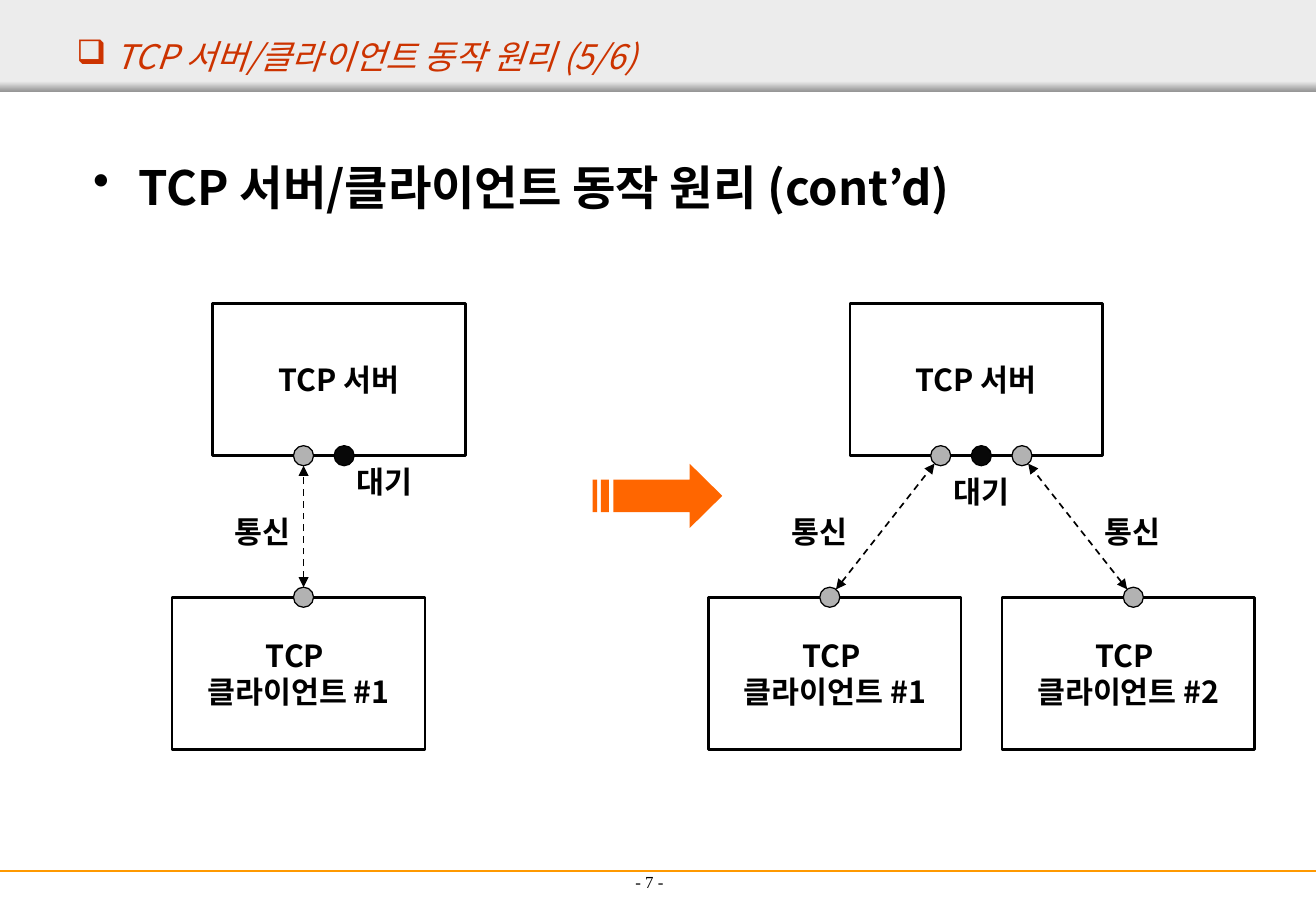
"""Build a slide on how a TCP server takes on a second client."""
from dataclasses import dataclass
from math import hypot

from lxml.etree import SubElement
from pptx import Presentation
from pptx.dml.color import RGBColor
from pptx.enum.dml import MSO_LINE
from pptx.enum.shapes import MSO_CONNECTOR, MSO_SHAPE
from pptx.enum.text import MSO_ANCHOR, PP_ALIGN
from pptx.oxml.ns import qn
from pptx.util import Cm, Pt


@dataclass(frozen=True)
class Theme:
    """Colours, fonts and type sizes."""
    black: str = "000000"
    band: str = "ECECEC"
    band_edge: str = "979797"
    rule: str = "FF9900"
    title: str = "CC3300"
    arrow: str = "FF6600"
    waiting: str = "080808"
    talking: str = "B2B2B2"
    font: str = "Noto Sans CJK KR"
    number_font: str = "Times New Roman"
    title_size: int = 20
    body_size: int = 28
    label_size: int = 18
    number_size: int = 10


T = Theme()
WIDTH, HEIGHT = 27.53, 19.05
TITLE = "TCP 서버/클라이언트 동작 원리 (5/6)"
HEADING = "TCP 서버/클라이언트 동작 원리 (cont’d)"
PAGE = "- 7 -"
SERVER = "TCP 서버"

BOX_W, BOX_H = 5.29, 3.18
SERVER_TOP, CLIENT_TOP = 6.35, 12.49
PORT_SIZE, PORT_START, PORT_GAP = 0.42, 1.9, 0.85
LABEL_W, LABEL_H = 4.65, 0.64

DIAGRAMS = [
    {
        "server": 4.45,
        "ports": [T.talking, T.waiting],
        "clients": [("TCP \n클라이언트 #1", 3.6, 6.35, 0)],
        "labels": [("통신", 4.65, 10.8), ("대기", 7.2, 9.74)],
    },
    {
        "server": 17.78,
        "ports": [T.talking, T.waiting, T.talking],
        "clients": [("TCP \n클라이언트 #1", 14.82, 17.36, 0),
                    ("TCP \n클라이언트 #2", 20.96, 23.71, 2)],
        "labels": [("통신", 16.3, 10.8), ("통신", 22.86, 10.8),
                   ("대기", 19.69, 9.95)],
    },
]

ARROW_LEFT, ARROW_MID = 12.4, 10.37
SHAFT, HEAD, HEAD_START, TIP = 0.34, 0.67, 14.43, 15.11
STRIPES = [(12.4, 12.49), (12.57, 12.74)]
SHAFT_START = 12.83


def rgb(value):
    return RGBColor.from_string(value)


def write(sp, text, size, color=T.black, font=T.font, bold=False, italic=False,
          align=PP_ALIGN.LEFT, anchor=MSO_ANCHOR.MIDDLE):
    tf = sp.text_frame
    tf.text = text
    tf.word_wrap = True
    tf.vertical_anchor = anchor
    for p in tf.paragraphs:
        p.alignment = align
        for r in p.runs:
            r.font.size = Pt(size)
            r.font.bold, r.font.italic = bold, italic
            r.font.color.rgb = rgb(color)
            r.font.name = font
            SubElement(r.font._element, qn("a:ea"), typeface=font)
    return tf


def bullet(p, char, color, indent):
    pPr = p._p.get_or_add_pPr()
    pPr.set("marL", str(Cm(indent)))
    pPr.set("indent", str(-Cm(indent)))
    clr = SubElement(pPr, qn("a:buClr"))
    SubElement(clr, qn("a:srgbClr"), val=color)
    SubElement(pPr, qn("a:buChar"), char=char)


def textbox(shapes, x, y, w, h):
    return shapes.add_textbox(Cm(x), Cm(y), Cm(w), Cm(h))


def shape(shapes, kind, x, y, w, h, fill=None, line=None):
    sp = shapes.add_shape(kind, Cm(x), Cm(y), Cm(w), Cm(h))
    sp.shadow.inherit = False
    if fill:
        sp.fill.solid()
        sp.fill.fore_color.rgb = rgb(fill)
    else:
        sp.fill.background()
    if line:
        sp.line.color.rgb = rgb(T.black)
        sp.line.width = Pt(line)
    else:
        sp.line.fill.background()
    return sp


def connector(shapes, start, end, color, width):
    cx = shapes.add_connector(MSO_CONNECTOR.STRAIGHT,
                              *(Cm(v) for v in (*start, *end)))
    cx.line.color.rgb = rgb(color)
    cx.line.width = Pt(width)
    SubElement(cx._element.spPr, qn("a:effectLst"))
    return cx


def node(shapes, text, x, y):
    sp = shape(shapes, MSO_SHAPE.RECTANGLE, x, y, BOX_W, BOX_H, line=1.5)
    write(sp, text, T.label_size, bold=True, align=PP_ALIGN.CENTER)


def port(shapes, x, y, color):
    radius = PORT_SIZE / 2
    shape(shapes, MSO_SHAPE.OVAL, x - radius, y - radius,
          PORT_SIZE, PORT_SIZE, color, 0.75)


def channel(shapes, x1, y1, x2, y2):
    share = PORT_SIZE / 2 / hypot(x2 - x1, y2 - y1)
    dx, dy = (x2 - x1) * share, (y2 - y1) * share
    cx = connector(shapes, (x1 + dx, y1 + dy), (x2 - dx, y2 - dy), T.black, 1)
    cx.line.dash_style = MSO_LINE.DASH
    for end in ("a:headEnd", "a:tailEnd"):
        SubElement(cx.line._get_or_add_ln(), qn(end), type="triangle")


def diagram(s, server, ports, clients, labels):
    shapes = s.shapes.add_group_shape().shapes
    server_base = SERVER_TOP + BOX_H
    port_xs = [server + PORT_START + i * PORT_GAP for i in range(len(ports))]
    node(shapes, SERVER, server, SERVER_TOP)
    for x, color in zip(port_xs, ports):
        port(shapes, x, server_base, color)
    for text, left, client_x, i in clients:
        node(shapes, text, left, CLIENT_TOP)
        port(shapes, client_x, CLIENT_TOP, T.talking)
        channel(shapes, client_x, CLIENT_TOP, port_xs[i], server_base)
    for text, x, y in labels:
        write(textbox(shapes, x, y, LABEL_W, LABEL_H), text, T.label_size, bold=True)


def striped_arrow(s):
    top, base = ARROW_MID - SHAFT, ARROW_MID + SHAFT
    outlines = [[(SHAFT_START, top), (HEAD_START, top),
                 (HEAD_START, ARROW_MID - HEAD), (TIP, ARROW_MID),
                 (HEAD_START, ARROW_MID + HEAD), (HEAD_START, base),
                 (SHAFT_START, base)]]
    outlines += [[(a, top), (b, top), (b, base), (a, base)] for a, b in STRIPES]
    fb = s.shapes.build_freeform(Cm(SHAFT_START), Cm(top))
    for i, points in enumerate(outlines):
        points = [(Cm(x), Cm(y)) for x, y in points]
        if i:
            fb.move_to(*points[0])
        fb.add_line_segments(points[1:], close=True)
    sp = fb.convert_to_shape()
    sp.shadow.inherit = False
    sp.fill.solid()
    sp.fill.fore_color.rgb = rgb(T.arrow)
    sp.line.fill.background()


def frame(s):
    shape(s.shapes, MSO_SHAPE.RECTANGLE, 0, 0, WIDTH, 1.9, T.band)
    edge = shape(s.shapes, MSO_SHAPE.RECTANGLE, 0, 1.7, WIDTH, 0.21)
    edge.fill.gradient()
    edge.fill.gradient_angle = 270
    for stop, color in zip(edge.fill.gradient_stops, (T.band, T.band_edge)):
        stop.color.rgb = rgb(color)
    connector(s.shapes, (0, 18.21), (WIDTH, 18.21), T.rule, 1.5)
    write(textbox(s.shapes, 9.37, 17.5, 8.43, 1.27), PAGE, T.number_size,
          font=T.number_font, align=PP_ALIGN.CENTER, anchor=MSO_ANCHOR.BOTTOM)
    tf = write(textbox(s.shapes, 1.35, 0.64, 26.18, 1.07), TITLE, T.title_size,
               T.title, italic=True)
    bullet(tf.paragraphs[0], "❑", T.title, 0.82)
    tf = write(textbox(s.shapes, 1.7, 3.18, 24.13, 13.82), HEADING, T.body_size,
               bold=True, anchor=MSO_ANCHOR.TOP)
    tf.paragraphs[0].space_before = Pt(7)
    bullet(tf.paragraphs[0], "•", T.black, 0.95)


def main():
    prs = Presentation()
    prs.slide_width, prs.slide_height = Cm(WIDTH), Cm(HEIGHT)
    s = prs.slides.add_slide(prs.slide_layouts[6])
    frame(s)
    for parts in reversed(DIAGRAMS):
        diagram(s, **parts)
    striped_arrow(s)
    prs.save("out.pptx")


if __name__ == "__main__":
    main()
